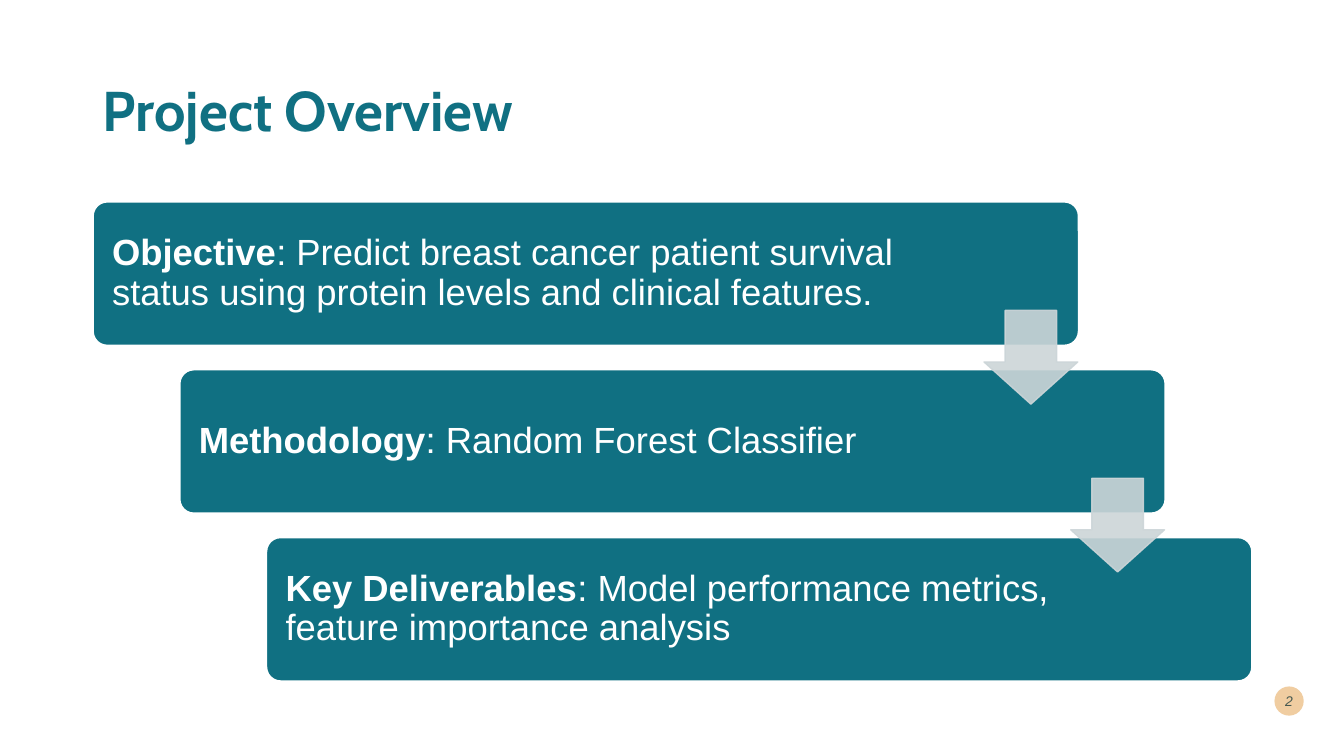
from lxml.etree import SubElement
from pptx import Presentation
from pptx.dml.color import RGBColor as RGB
from pptx.enum.shapes import MSO_SHAPE as Shape
from pptx.enum.text import MSO_ANCHOR as Anchor, PP_ALIGN as Align
from pptx.oxml.ns import qn
from pptx.util import Inches, Pt

COLORS = {
    "teal": "107082",
    "white": "FFFFFF",
    "grey": "CCD5D8",
    "sand": "F0CDA1",
    "ink": "00292E",
}
STEPS = [
    ("Objective", ": Predict breast cancer patient survival status using "
     "protein levels and clinical features.", 8.23),
    ("Methodology", ": Random Forest Classifier", 7.9),
    ("Key Deliverables", ": Model performance metrics, "
     "feature importance analysis", 7.9),
]
LEFT, TOP = 0.92, 2.0
SHIFT, DROP = 0.86, 1.665
CARD_W, CARD_H = 9.78, 1.43
EDGE, INSET = 0.04, 0.11


def fade(fill, alpha):
    color = fill._xPr.find(".//" + qn("a:srgbClr"))
    SubElement(color, qn("a:alpha")).set("val", str(alpha * 1000))


def paint(fill, name, alpha=100):
    fill.solid()
    fill.fore_color.rgb = RGB.from_string(COLORS[name])
    if alpha < 100:
        fade(fill, alpha)


def add_run(para, text, size, color, font="Arial", bold=False,
            italic=False, alpha=100):
    run = para.add_run()
    run.text = text
    run.font.name = font
    run.font.size = Pt(size)
    run.font.bold = bold
    run.font.italic = italic
    paint(run.font.fill, color, alpha)


def add_form(slide, kind, box, color, line=None, width=1, alpha=100):
    form = slide.shapes.add_shape(kind, *map(Inches, box))
    form.shadow.inherit = False
    paint(form.fill, color, alpha)
    if line:
        form.line.width = Pt(width)
        paint(form.line.fill, line, alpha)
    else:
        form.line.fill.background()
    return form


def set_frame(form, left, right, top=0, bottom=0):
    frame = form.text_frame
    frame.word_wrap = True
    frame.vertical_anchor = Anchor.MIDDLE
    frame.margin_left, frame.margin_right = Inches(left), Inches(right)
    frame.margin_top, frame.margin_bottom = Inches(top), Inches(bottom)
    return frame.paragraphs[0]


def add_title(slide, text):
    title = slide.shapes.title
    title.left, title.top = Inches(LEFT), Inches(0.4)
    title.width, title.height = Inches(11.5), Inches(1.45)
    para = set_frame(title, 0.1, 0.1, 0.05, 0.05)
    para.alignment = Align.LEFT
    para.line_spacing = 0.9
    add_run(para, text, 40, "teal", font="Cabin", bold=True)


def add_card(slide, row, label, text, width):
    box = (LEFT + row * SHIFT, TOP + row * DROP, CARD_W, CARD_H)
    card = add_form(slide, Shape.ROUNDED_RECTANGLE, box, "teal", "white", 1.5)
    card.adjustments[0] = 0.1
    pad = EDGE + INSET
    para = set_frame(card, pad, CARD_W - EDGE - width + INSET, pad, pad)
    para.alignment = Align.LEFT
    para.line_spacing = 0.9
    add_run(para, label, 26, "white", bold=True)
    add_run(para, text, 26, "white")


def add_arrow(slide, row):
    box = (9.76 + row * SHIFT, 3.08 + row * DROP, 0.93, 0.93)
    arrow = add_form(slide, Shape.DOWN_ARROW, box, "grey", "grey", alpha=90)
    arrow.adjustments[0] = 0.55
    arrow.adjustments[1] = 0.45


def add_badge(slide, text):
    badge = add_form(slide, Shape.OVAL, (12.64, 6.81, 0.29, 0.29), "sand")
    para = set_frame(badge, 0, 0)
    para.alignment = Align.CENTER
    add_run(para, text, 10, "ink", italic=True, alpha=70)


def main():
    deck = Presentation()
    deck.slide_width, deck.slide_height = Inches(13.33), Inches(7.5)
    slide = deck.slides.add_slide(deck.slide_layouts[5])
    add_title(slide, "Project Overview")
    add_badge(slide, "2")
    for row, step in enumerate(STEPS):
        add_card(slide, row, *step)
    for row in range(len(STEPS) - 1):
        add_arrow(slide, row)
    deck.save("out.pptx")


if __name__ == "__main__":
    main()
